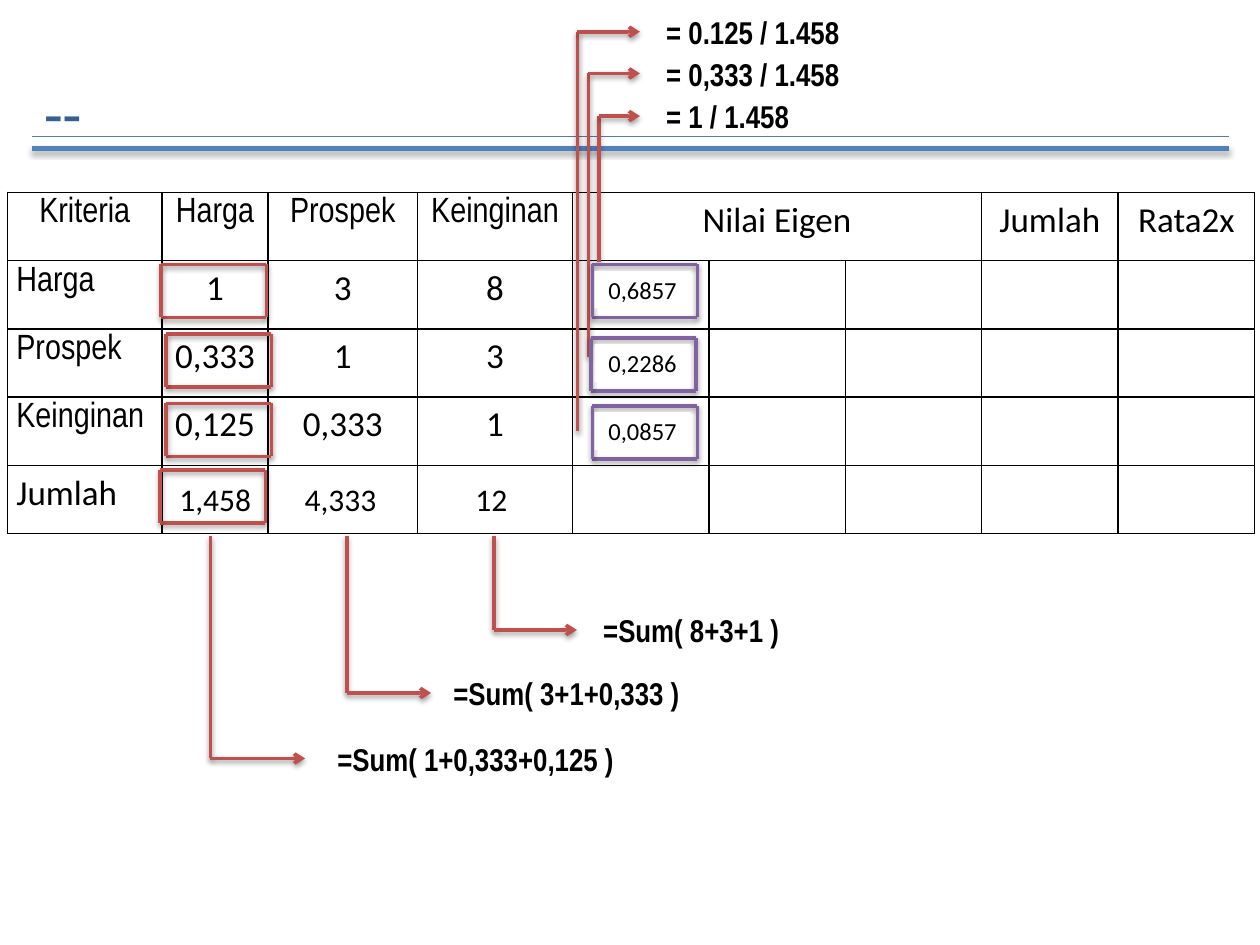
from collections import namedtuple
from dataclasses import dataclass

from lxml.etree import SubElement
from pptx import Presentation
from pptx.dml.color import RGBColor as Color
from pptx.enum.shapes import MSO_CONNECTOR as Connector, MSO_SHAPE as Shape
from pptx.enum.text import MSO_ANCHOR as Anchor, MSO_AUTO_SIZE as AutoSize, PP_ALIGN as Align
from pptx.oxml import parse_xml
from pptx.oxml.ns import nsdecls, qn
from pptx.util import Cm, Pt

Box = namedtuple("Box", "left top width height")


@dataclass(frozen=True)
class Theme:
    black: Color = Color(0, 0, 0)
    white: Color = Color(255, 255, 255)
    title: Color = Color(0x37, 0x60, 0x92)
    thin_rule: Color = Color(0x4B, 0x7E, 0xBC)
    thick_rule: Color = Color(0x4F, 0x81, 0xBD)
    red: Color = Color(0xC0, 0x50, 0x4D)
    purple: Color = Color(0x80, 0x64, 0xA2)
    serif: str = "Times New Roman"
    narrow: str = "Arial Narrow"
    body: str = "Calibri"
    title_size: int = 32
    table_size: int = 20
    note_size: int = 18
    value_size: int = 14


THEME = Theme()
ROW_NAMES = ["Harga", "Prospek", "Keinginan"]
ROWS = [
    ["Kriteria", *ROW_NAMES, "Nilai Eigen", "", "", "Jumlah", "Rata2x"],
    ["Harga", "1", "3", "8"],
    ["Prospek", "0,333", "1", "3"],
    ["Keinginan", "0,125", "0,333", "1"],
    ["Jumlah"],
]
NARROW_WORDS = {"Kriteria", *ROW_NAMES}
COLUMN_WIDTHS = [3.12, 2.13, 3.02, 3.12] + [2.75] * 5


def add_run(paragraph, text, size, font, color=THEME.black, bold=False):
    run = paragraph.add_run()
    run.text = text
    run.font.size, run.font.name, run.font.bold = Pt(size), font, bold
    run.font.color.rgb = color


def add_line(shapes, start, end, color, width=2, arrow=False, shadow=True):
    line = shapes.add_connector(Connector.STRAIGHT, *map(Cm, (*start, *end)))
    line.line.color.rgb = color
    line.line.width = Pt(width)
    properties = line._element.spPr
    if arrow:
        SubElement(properties.find(qn("a:ln")), qn("a:tailEnd"), type="arrow")
    effects = SubElement(properties, qn("a:effectLst"))
    if shadow:
        effects.append(parse_xml(
            f'<a:outerShdw {nsdecls("a")} blurRad="{Pt(3.1)}" dist="{Pt(1.6)}" dir="5400000" '
            'rotWithShape="0"><a:srgbClr val="000000"><a:alpha val="38000"/></a:srgbClr>'
            '</a:outerShdw>'))


def add_title(slide, box):
    shape = slide.shapes.add_textbox(*map(Cm, box))
    frame = shape.text_frame
    frame.word_wrap = True
    frame.vertical_anchor = Anchor.MIDDLE
    add_run(frame.paragraphs[0], "--", THEME.title_size, THEME.serif, THEME.title, True)


def add_rules(slide, box):
    """Draw the thin rule at the top of the box and the thick one at its bottom."""
    right, bottom = box.left + box.width, box.top + box.height
    add_line(slide.shapes, (box.left, box.top), (right, box.top), THEME.thin_rule, 0.75, shadow=False)
    add_line(slide.shapes, (box.left, bottom), (right, bottom), THEME.thick_rule, 3)


def style_cell(cell):
    cell.margin_left = cell.margin_right = Cm(0.18)
    cell.margin_top = cell.margin_bottom = 0
    properties = cell._tc.get_or_add_tcPr()
    for side in ("lnL", "lnR", "lnT", "lnB"):
        properties.append(parse_xml(
            f'<a:{side} {nsdecls("a")} w="{Pt(1)}"><a:solidFill><a:srgbClr val="{THEME.black}"/>'
            f'</a:solidFill></a:{side}>'))
    cell.fill.background()


def add_criteria_table(slide, box):
    table = slide.shapes.add_table(len(ROWS), len(COLUMN_WIDTHS), *map(Cm, box)).table
    table.first_row = table.horz_banding = False
    for column, width in zip(table.columns, COLUMN_WIDTHS):
        column.width = Cm(width)
    for row_index, texts in enumerate(ROWS):
        table.rows[row_index].height = Cm(box.height / len(ROWS))
        for column_index in range(len(COLUMN_WIDTHS)):
            cell = table.cell(row_index, column_index)
            style_cell(cell)
            text = texts[column_index] if column_index < len(texts) else ""
            if text:
                paragraph = cell.text_frame.paragraphs[0]
                is_row_name = row_index > 0 and column_index == 0
                paragraph.alignment = Align.JUSTIFY if is_row_name else Align.CENTER
                paragraph.line_spacing = 1.15
                font = THEME.narrow if text in NARROW_WORDS else THEME.body
                add_run(paragraph, text, THEME.table_size, font)
    table.cell(0, 4).merge(table.cell(0, 6))


def add_callout(slide, start, tip, text_left, text):
    """Run an elbow arrow from start to tip and set the formula beside the tip."""
    corner = (start[0], tip[1])
    elbow = slide.shapes.add_group_shape().shapes
    add_line(elbow, start, corner, THEME.red)
    add_line(elbow, corner, tip, THEME.red, arrow=True)
    note = slide.shapes.add_textbox(*map(Cm, (text_left, tip[1] - 0.5, 6.55, 1.02)))
    frame = note.text_frame
    frame.word_wrap = True
    frame.auto_size = AutoSize.SHAPE_TO_FIT_TEXT
    add_run(frame.paragraphs[0], text, THEME.note_size, THEME.narrow, bold=True)


def add_value(slide, box, text, size):
    shape = slide.shapes.add_shape(Shape.RECTANGLE, *map(Cm, box))
    shape.shadow.inherit = False
    shape.fill.solid()
    shape.fill.fore_color.rgb = THEME.white
    shape.line.fill.background()
    frame = shape.text_frame
    frame.word_wrap = False
    frame.vertical_anchor = Anchor.MIDDLE
    frame.paragraphs[0].alignment = Align.CENTER
    add_run(frame.paragraphs[0], text, size, THEME.body)


def add_frame(slide, box, color):
    """Outline the box with four separate lines."""
    right, bottom = box.left + box.width, box.top + box.height
    corners = [(box.left, box.top), (right, box.top), (right, bottom), (box.left, bottom)]
    sides = slide.shapes.add_group_shape().shapes
    for start, end in zip(corners, corners[1:] + corners[:1]):
        add_line(sides, start, end, color)


def build_slide(slide):
    add_title(slide, Box(0.64, 1.04, 21.59, 2.34))
    add_rules(slide, Box(0.64, 2.75, 24.13, 0.25))
    add_criteria_table(slide, Box(0.15, 3.88, 25.14, 6.88))

    for x, bend, tip, text_left, text in [
        (4.24, 15.29, 6.15, 6.55, "=Sum( 1+0,333+0,125 )"),
        (6.99, 13.97, 8.69, 8.89, "=Sum( 3+1+0,333 )"),
        (9.96, 12.7, 11.63, 11.91, "=Sum( 8+3+1 )"),
    ]:
        add_callout(slide, (x, 10.8), (tip, bend), text_left, text)
    for left, width, total in [(3.35, 1.98, "1,458"), (5.72, 2.29, "4,333"), (9.17, 1.47, "12")]:
        add_value(slide, Box(left, 9.53, width, 1.07), total, THEME.note_size)

    for x, start, bend, text in [
        (12.07, 5.28, 2.34, "= 1 / 1.458"),
        (11.86, 7.19, 1.48, "= 0,333 / 1.458"),
        (11.64, 8.69, 0.64, "= 0.125 / 1.458"),
    ]:
        add_callout(slide, (x, start), (12.9, bend), 13.18, text)

    for left, top in [(3.25, 5.33), (3.35, 6.73), (3.35, 8.13), (3.23, 9.47)]:
        add_frame(slide, Box(left, top, 2.12, 1.07), THEME.red)
    for left, top, value in [(11.94, 5.33, "0,6857"), (11.91, 6.81, "0,2286"), (11.94, 8.18, "0,0857")]:
        add_frame(slide, Box(left, top, 2.12, 1.07), THEME.purple)
        add_value(slide, Box(11.99, top + 0.13, 1.93, 0.76), value, THEME.value_size)


def main():
    presentation = Presentation()
    presentation.slide_width, presentation.slide_height = Cm(25.4), Cm(19.05)
    build_slide(presentation.slides.add_slide(presentation.slide_layouts[6]))
    presentation.save("out.pptx")


if __name__ == "__main__":
    main()
